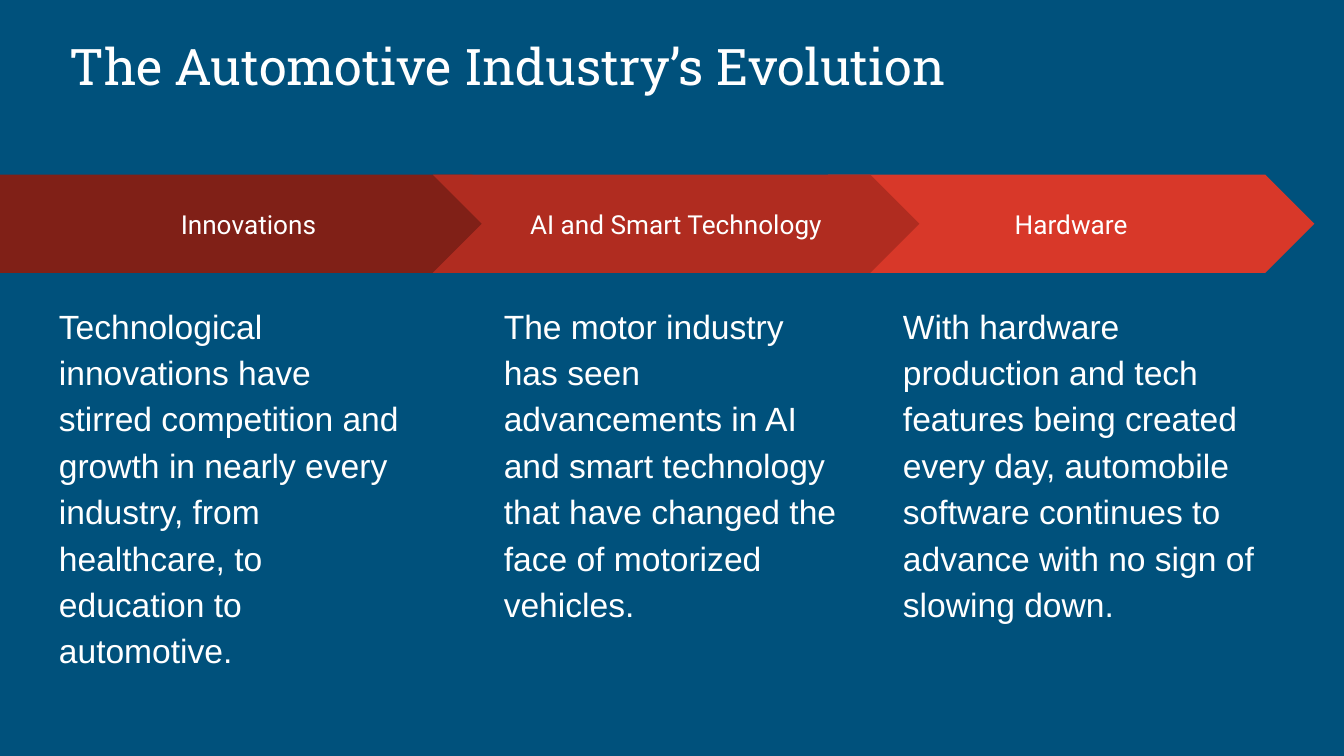
import dataclasses

import pptx
import pptx.dml.color
import pptx.enum.shapes
import pptx.enum.text
import pptx.presentation
import pptx.slide
import pptx.text.text
import pptx.util

Inches = pptx.util.Inches
Pt = pptx.util.Pt
RGBColor = pptx.dml.color.RGBColor
Shape = pptx.enum.shapes.MSO_SHAPE
Align = pptx.enum.text.PP_ALIGN
Anchor = pptx.enum.text.MSO_ANCHOR

NAVY = RGBColor(0x00, 0x51, 0x7C)
WHITE = RGBColor(0xFF, 0xFF, 0xFF)
DARK = RGBColor(0x80, 0x20, 0x17)
BRICK = RGBColor(0xB0, 0x2C, 0x20)
RED = RGBColor(0xD8, 0x38, 0x29)

WIDTH = 10
HEIGHT = WIDTH * 9 / 16
BAND_TOP = 1.3
BAND_HEIGHT = 0.73
BODY_TOP = 2.13
BODY_HEIGHT = 2.86
MARGIN = Inches(0.1)


@dataclasses.dataclass
class Stage:
    label: str
    body: str
    kind: Shape
    color: RGBColor
    left: float
    width: float
    body_left: float
    body_width: float


STAGES = [
    Stage(
        "Hardware",
        "With hardware production and tech features being created every day, "
        "automobile software continues to advance with no sign of slowing down.",
        Shape.CHEVRON, RED, 6.16, 3.62, 6.62, 2.82,
    ),
    Stage(
        "Innovations",
        "Technological innovations have stirred competition and growth in nearly "
        "every industry, from healthcare, to education to automotive.",
        Shape.PENTAGON, DARK, 0, 3.88, 0.34, 2.74,
    ),
    Stage(
        "AI and Smart Technology",
        "The motor industry has seen advancements in AI and smart technology "
        "that have changed the face of motorized vehicles.",
        Shape.CHEVRON, BRICK, 3.22, 3.62, 3.65, 2.75,
    ),
]


def write(
    frame: pptx.text.text.TextFrame, text: str, font: str, size: int, anchor: Anchor
) -> pptx.text.text._Paragraph:
    frame.word_wrap = True
    frame.vertical_anchor = anchor
    frame.margin_left = frame.margin_right = MARGIN
    frame.margin_top = frame.margin_bottom = MARGIN
    para = frame.paragraphs[0]
    para.text = text
    para.font.name = font
    para.font.size = Pt(size)
    para.font.color.rgb = WHITE
    return para


def draw_title(slide: pptx.slide.Slide, text: str) -> None:
    box = slide.shapes.add_textbox(
        Inches(0.42), Inches(0.11), Inches(9.15), Inches(0.7)
    )
    write(box.text_frame, text, "Roboto Slab", 27, Anchor.BOTTOM)


def draw_stage(slide: pptx.slide.Slide, stage: Stage) -> None:
    arrow = slide.shapes.add_shape(
        stage.kind, Inches(stage.left), Inches(BAND_TOP),
        Inches(stage.width), Inches(BAND_HEIGHT),
    )
    arrow.shadow.inherit = False
    arrow.fill.solid()
    arrow.fill.fore_color.rgb = stage.color
    arrow.line.fill.background()
    label = write(arrow.text_frame, stage.label, "Roboto", 14, Anchor.MIDDLE)
    label.alignment = Align.CENTER

    box = slide.shapes.add_textbox(
        Inches(stage.body_left), Inches(BODY_TOP),
        Inches(stage.body_width), Inches(BODY_HEIGHT),
    )
    body = write(box.text_frame, stage.body, "Arial", 18, Anchor.TOP)
    body.line_spacing = 1.15
    body.space_after = Pt(12)


def main() -> None:
    deck = pptx.Presentation()
    deck.slide_width = Inches(WIDTH)
    deck.slide_height = Inches(HEIGHT)
    slide = deck.slides.add_slide(deck.slide_layouts[6])
    slide.background.fill.solid()
    slide.background.fill.fore_color.rgb = NAVY
    draw_title(slide, "The Automotive Industry’s Evolution")
    for stage in STAGES:
        draw_stage(slide, stage)
    deck.save("out.pptx")


if __name__ == "__main__":
    main()
